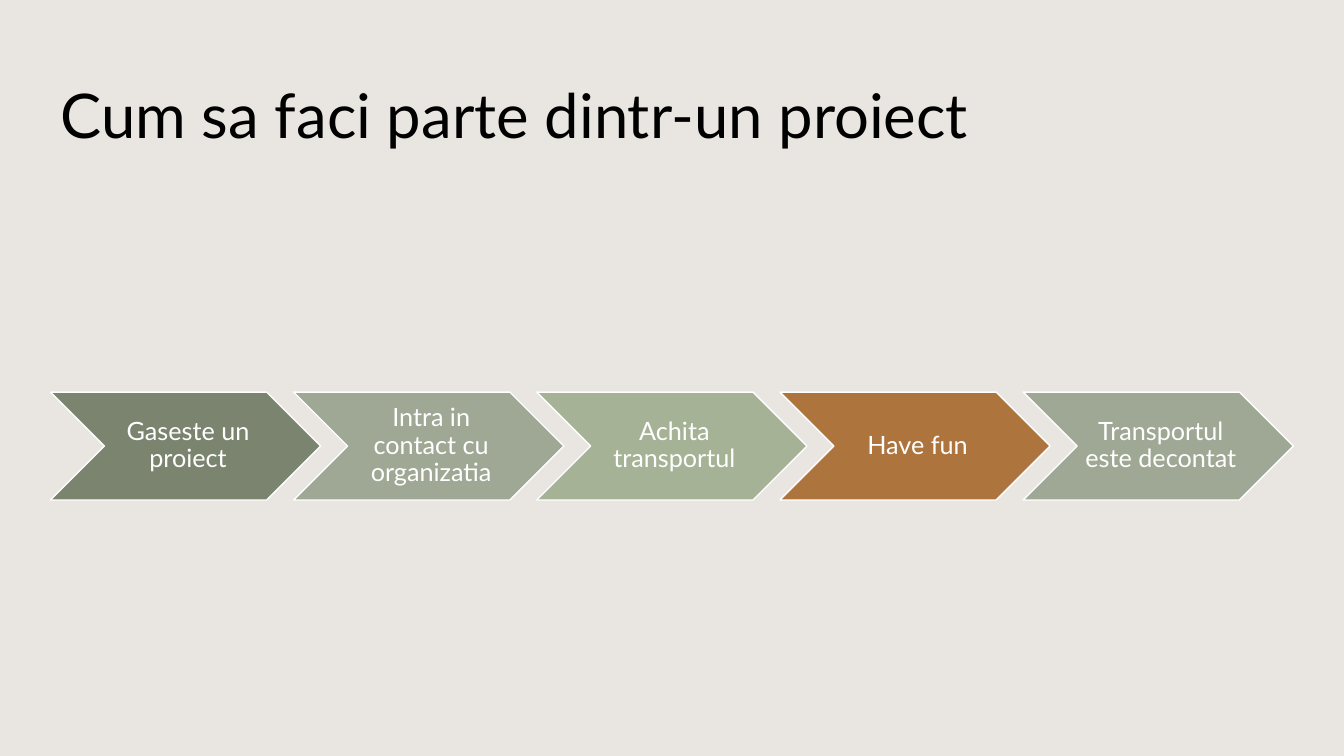
from pptx import Presentation
from pptx.dml.color import RGBColor as RGB
from pptx.enum.shapes import MSO_SHAPE as Shape
from pptx.enum.text import MSO_ANCHOR as Anchor, PP_ALIGN as Align
from pptx.util import Inches, Pt

FONT = "Lato"
HUES = {
    "back": "E9E5E1", "ink": "000000", "white": "FFFFFF",
    "moss": "7A846E", "sage": "9FA894", "leaf": "A5B295", "rust": "AE743E",
}
STEPS = [
    ("Gaseste un proiect", "moss"),
    ("Intra in contact cu organizatia", "sage"),
    ("Achita transportul", "leaf"),
    ("Have fun", "rust"),
    ("Transportul este decontat", "sage"),
]


def hue(name):
    return RGB.from_string(HUES[name])


def style(par, size, color):
    par.font.name = FONT
    par.font.size = Pt(size)
    par.font.color.rgb = hue(color)


prs = Presentation()
prs.slide_width, prs.slide_height = Inches(13.33), Inches(7.5)
slide = prs.slides.add_slide(prs.slide_layouts[5])

# Background
slide.background.fill.solid()
slide.background.fill.fore_color.rgb = hue("back")

# Title
title = slide.shapes.title
title.left, title.top = Inches(0.5), Inches(0.4)
title.width, title.height = Inches(11.92), Inches(1.45)
title.text = "Cum sa faci parte dintr-un proiect"
title.text_frame.vertical_anchor = Anchor.MIDDLE
head = title.text_frame.paragraphs[0]
head.alignment = Align.LEFT
style(head, 44, "ink")

# Row of chevrons, each overlapping the next by a tenth of its width
left, top, wide, high = 0.5, 3.89, 2.68, 1.07
pitch = wide * 0.9
for col, (text, color) in enumerate(STEPS):
    step = slide.shapes.add_shape(
        Shape.CHEVRON, Inches(left + col * pitch), Inches(top),
        Inches(wide), Inches(high))
    step.shadow.inherit = False
    step.fill.solid()
    step.fill.fore_color.rgb = hue(color)
    step.line.color.rgb = hue("white")
    step.line.width = Pt(1)

    frame = step.text_frame
    frame.text = text
    frame.word_wrap = True
    frame.vertical_anchor = Anchor.MIDDLE
    frame.margin_left = Inches(0.08)
    frame.margin_top = frame.margin_right = frame.margin_bottom = Inches(0.03)
    par = frame.paragraphs[0]
    par.alignment = Align.CENTER
    par.line_spacing = 0.9
    style(par, 18, "white")

prs.save("out.pptx")
